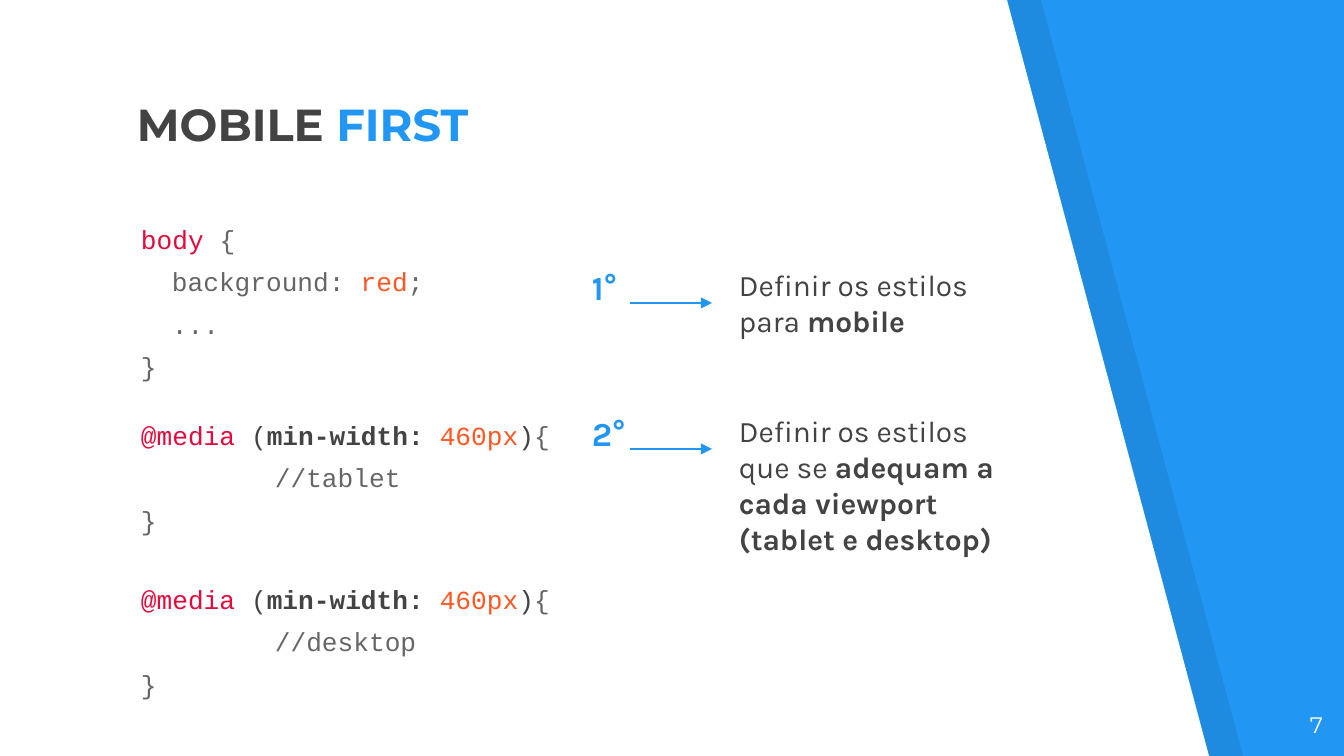
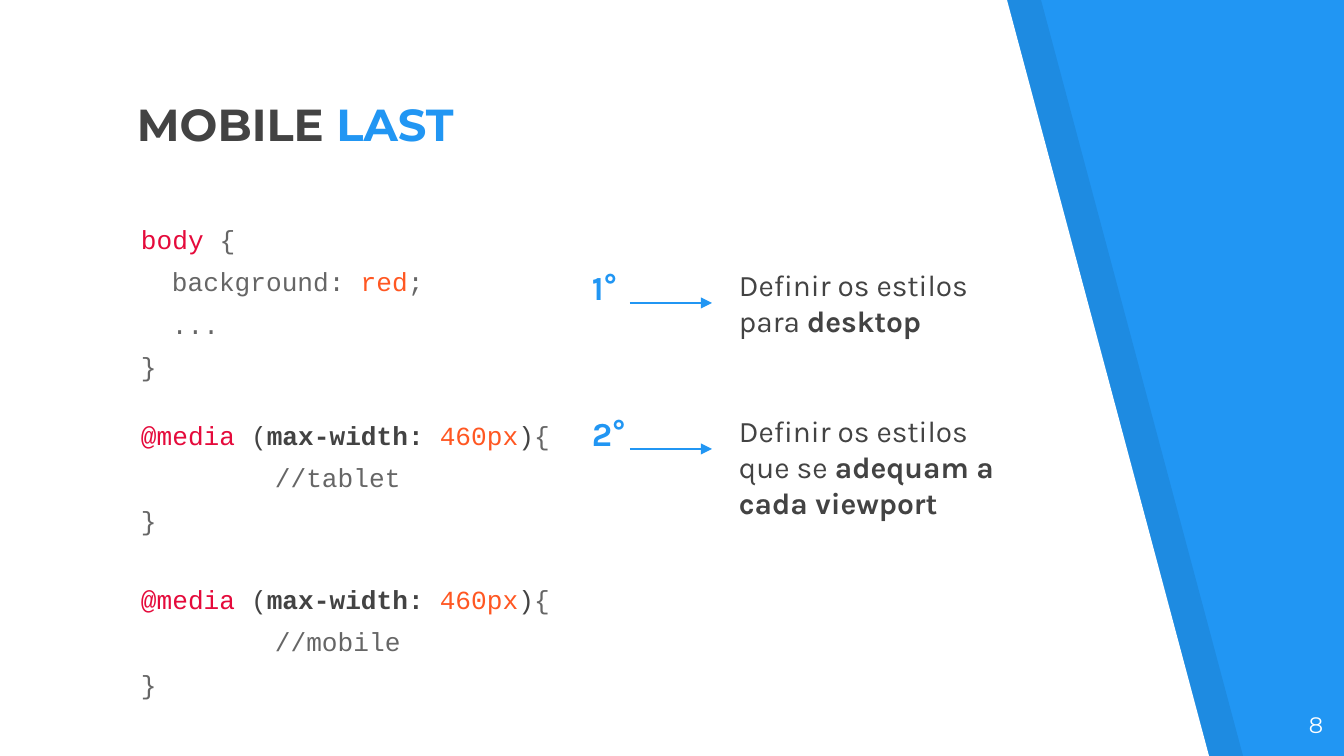
"""Two slides that compare the mobile first and mobile last strategies in CSS."""
import pptx
import pptx.dml.color
import pptx.enum.shapes
import pptx.enum.text
import pptx.oxml
import pptx.oxml.ns
import pptx.util
from lxml import etree

RGB = pptx.dml.color.RGBColor
BLUE = RGB(0x21, 0x96, 0xF3)
WHITE = RGB(0xFF, 0xFF, 0xFF)
BLACK = RGB(0x00, 0x00, 0x00)
DARK = RGB(0x43, 0x43, 0x43)
GRAY = RGB(0x66, 0x66, 0x66)
CRIMSON = RGB(0xE5, 0x0A, 0x3B)
ORANGE = RGB(0xFF, 0x57, 0x22)

Pt = pptx.util.Pt
EMU_PER_PIXEL = 914400 / 134.4
WIDTH, HEIGHT = 1344, 756
INSET = 13
BAND_SHIFT = 34

TITLE = {"name": "Montserrat", "size": Pt(24), "bold": True}
NUMBER = {"name": "Montserrat", "size": Pt(12)}
CODE = {"name": "Courier New", "size": Pt(14)}
STEP = {"name": "Karla", "size": Pt(18), "bold": True}
NOTE = {"name": "Karla", "size": Pt(16)}

CODE_SPACING = {"space_before": Pt(6), "line_spacing": Pt(16.8)}
NOTE_SPACING = {"space_before": Pt(6)}
RIGHT = {"alignment": pptx.enum.text.PP_ALIGN.RIGHT}
PROPERTY_INDENT, COMMENT_INDENT = 31, 134


def px(length):
    """Turn pixels into EMU."""
    return pptx.util.Emu(round(length * EMU_PER_PIXEL))


def apply(target, values):
    """Set each attribute in values on the target."""
    for name, value in values.items():
        setattr(target, name, value)


def add_text(slide, box, lines, font, spacing=None, anchor="TOP"):
    """Add a text box; a line is (indent, runs), a run is (text, colour[, bold])."""
    frame = slide.shapes.add_textbox(*map(px, box)).text_frame
    apply(frame, {
        "word_wrap": True,
        "vertical_anchor": pptx.enum.text.MSO_ANCHOR[anchor],
        "margin_left": px(INSET), "margin_right": px(INSET),
        "margin_top": px(INSET), "margin_bottom": px(INSET),
    })
    for index, (indent, runs) in enumerate(lines):
        paragraph = frame.add_paragraph() if index else frame.paragraphs[0]
        apply(paragraph, spacing or {})
        if indent:
            properties = paragraph._p.get_or_add_pPr()
            properties.set("marL", str(px(indent)))
            properties.set("indent", "0")
        for text, color, *bold in runs:
            run = paragraph.add_run()
            run.text = text
            apply(run.font, font)
            if bold:
                run.font.bold = bold[0]
            run.font.color.rgb = color


def add_panel(slide, shift, color, alpha=None):
    """Add the slanted panel, moved right by shift, with alpha in percent."""
    builder = slide.shapes.build_freeform(shift, 0, scale=EMU_PER_PIXEL)
    builder.add_line_segments(
        [(shift, HEIGHT), (1209 + shift, HEIGHT), (1007 + shift, 0)], close=True)
    panel = builder.convert_to_shape()
    panel.shadow.inherit = False
    panel.line.fill.background()
    panel.fill.solid()
    panel.fill.fore_color.rgb = color
    if alpha is not None:
        value = panel._element.spPr.find(".//" + pptx.oxml.ns.qn("a:srgbClr"))
        etree.SubElement(value, pptx.oxml.ns.qn("a:alpha"), val=str(alpha * 1000))


def add_arrow(slide, left, right, y):
    """Add a horizontal blue arrow pointing right."""
    arrow = slide.shapes.add_connector(
        pptx.enum.shapes.MSO_CONNECTOR.STRAIGHT, px(left), px(y), px(right), px(y))
    arrow.line.color.rgb = BLUE
    arrow.line.width = Pt(1.5)
    etree.SubElement(arrow.line._get_or_add_ln(),
                     pptx.oxml.ns.qn("a:tailEnd"), type="triangle")
    etree.SubElement(arrow._element.spPr, pptx.oxml.ns.qn("a:effectLst"))


def add_base(deck, number, ending):
    """Add a slide with its background, panels, page number and title."""
    slide = deck.slides.add_slide(deck.slide_layouts[6])
    slide.background.fill.solid()
    slide.background.fill.fore_color.rgb = BLUE
    add_panel(slide, BAND_SHIFT, BLACK, alpha=7)
    add_panel(slide, 0, WHITE)
    add_text(slide, (1255, 698, 81, 58), [(0, [(str(number), WHITE)])], NUMBER, RIGHT)
    add_text(slide, (124, 103, 762, 60),
             [(0, [("MOBILE", DARK), (" " + ending, BLUE)])], TITLE, anchor="BOTTOM")
    return slide


def add_code(slide, top, lines):
    """Add a block of code."""
    add_text(slide, (128, top, 461, 185), lines, CODE, CODE_SPACING)


def media_query(feature, device):
    """Return the lines of a media query for one device."""
    return [
        (0, [("@media ", CRIMSON), ("(", DARK), (feature + ": ", DARK, True),
             ("460px", ORANGE), (")", DARK), ("{", GRAY)]),
        (COMMENT_INDENT, [("//" + device, GRAY)]),
        (0, [("}", GRAY)]),
    ]


def add_step(slide, order, top, height, lead, emphasis):
    """Add a step: its ordinal, an arrow and the explanation."""
    add_arrow(slide, 630, 712, top + 49)
    add_text(slide, (726, top, 298, height),
             [(0, [(lead, DARK), (emphasis, DARK, True)])], NOTE, NOTE_SPACING)
    add_text(slide, (579, top, 73, 98),
             [(0, [(f"{order}°", BLUE)])], STEP, NOTE_SPACING)


def add_strategy(deck, number, ending, feature, devices, base, viewports):
    """Add the slide of one strategy."""
    slide = add_base(deck, number, ending)
    add_code(slide, 210, [
        (0, [("body ", CRIMSON), ("{", GRAY)]),
        (PROPERTY_INDENT, [("background: ", GRAY), ("red", ORANGE), (";", GRAY)]),
        (PROPERTY_INDENT, [("...", GRAY)]),
        (0, [("}", GRAY)]),
    ])
    for top, device in zip((406, 570), devices):
        add_code(slide, top, media_query(feature, device))
    add_step(slide, 1, 254, 125, "Definir os estilos para ", base)
    add_step(slide, 2, 400, 199, "Definir os estilos que se ", viewports)


def main():
    """Build and save the deck."""
    deck = pptx.Presentation()
    apply(deck, {"slide_width": px(WIDTH), "slide_height": px(HEIGHT)})
    add_strategy(deck, 7, "FIRST", "min-width", ("tablet", "desktop"),
                 "mobile", "adequam a cada viewport (tablet e desktop)")
    add_strategy(deck, 8, "LAST", "max-width", ("tablet", "mobile"),
                 "desktop", "adequam a cada viewport")
    deck.save("out.pptx")


main()
